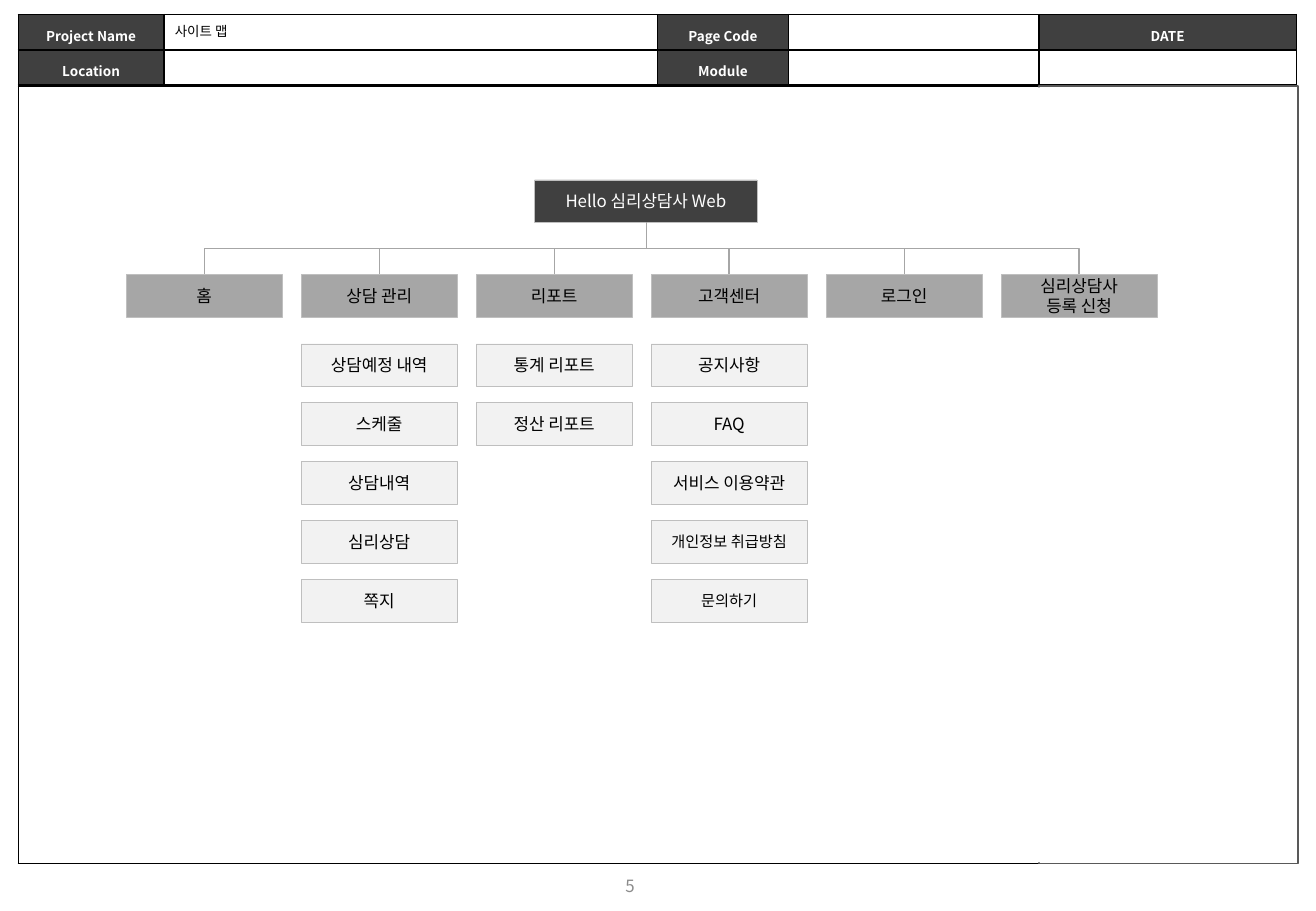
import pptx
import pptx.util
import pptx.dml.color
import pptx.enum.shapes
import pptx.enum.text
import pptx.oxml.ns
from lxml import etree

Inches = pptx.util.Inches
Pt = pptx.util.Pt
qn = pptx.oxml.ns.qn
RECTANGLE = pptx.enum.shapes.MSO_SHAPE.RECTANGLE
ELBOW = pptx.enum.shapes.MSO_CONNECTOR.ELBOW
CENTER = pptx.enum.text.PP_ALIGN.CENTER
MIDDLE = pptx.enum.text.MSO_ANCHOR.MIDDLE
FONT = "Noto Sans CJK KR"


def paint(color_format, hex_color):
    color_format.rgb = pptx.dml.color.RGBColor.from_string(hex_color)


def write(text_frame, text, size, hex_color, align=None, bold=False):
    text_frame.text = text
    for paragraph in text_frame.paragraphs:
        paragraph.alignment = align
        for run in paragraph.runs:
            run.font.name = FONT
            run.font.size = Pt(size)
            run.font.bold = bold
            paint(run.font.color, hex_color)
            etree.SubElement(run.font._element, qn("a:ea"), typeface=FONT)


presentation = pptx.Presentation()
presentation.slide_width = Inches(10.83)
presentation.slide_height = Inches(7.5)
slide = presentation.slides.add_slide(presentation.slide_layouts[6])
shapes = slide.shapes

# Page frame and header tables: top, column widths, row heights, cell texts
tables = [
    (0.71, [10.51], [6.4], [[""]]),
    (0.12, [1.2, 4.06, 1.08, 2.06, 2.12], [0.25, 0.25],
     [["Project Name", "", "Page Code", "", "DATE"],
      ["Location", "", "Module", "", ""]]),
]
for top, widths, heights, texts in tables:
    table = shapes.add_table(len(heights), len(widths), Inches(0.15), Inches(top),
                             Inches(sum(widths)), Inches(sum(heights))).table
    table.first_row = False
    table.horz_banding = False
    for column, width in zip(table.columns, widths):
        column.width = Inches(width)
    for row, height, row_texts in zip(table.rows, heights, texts):
        row.height = Inches(height)
        for cell, text in zip(row.cells, row_texts):
            cell.margin_left = cell.margin_right = Inches(0.04)
            cell.margin_top = cell.margin_bottom = Inches(0.04)
            cell_properties = cell._tc.get_or_add_tcPr()
            for side in ("a:lnL", "a:lnR", "a:lnT", "a:lnB"):
                border = etree.SubElement(cell_properties, qn(side), w=str(Pt(1)))
                border_fill = etree.SubElement(border, qn("a:solidFill"))
                etree.SubElement(border_fill, qn("a:srgbClr"), val="000000")
            cell.fill.solid()
            paint(cell.fill.fore_color, "404040" if text else "FFFFFF")
            if text:
                write(cell.text_frame, text, 8, "FFFFFF", CENTER, True)
                cell.text_frame.paragraphs[0].line_spacing = 1.3
            else:
                end_properties = cell.text_frame.paragraphs[0]._p.get_or_add_endParaRPr()
                end_properties.set("sz", "800")

# Boxes: left, top, width, height, fill, line, line width, text, size, text colour
boxes = [
    (8.55, 0.71, 2.13, 6.4, "FFFFFF", "595959", 1, "", 10, "000000"),
    (0.22, 0.72, 10.45, 6.38, "FFFFFF", None, 0, "", 10, "000000"),
    (4.4, 1.48, 1.83, 0.35, "404040", "BFBFBF", 0.25,
     "Hello 심리상담사 Web", 10, "FFFFFF"),
]

# Site map: one column per menu, its pages below
COLUMN_LEFT, COLUMN_STEP = 1.04, 1.44
PAGE_TOP, PAGE_STEP = 2.83, 0.485
MENU_TOP, BOX_WIDTH, BOX_HEIGHT = 2.26, 1.28, 0.35
menus = [
    ("홈", []),
    ("상담 관리", ["상담예정 내역", "스케줄", "상담내역", "심리상담", "쪽지"]),
    ("리포트", ["통계 리포트", "정산 리포트"]),
    ("고객센터", ["공지사항", "FAQ", "서비스 이용약관", "개인정보 취급방침", "문의하기"]),
    ("로그인", []),
    ("심리상담사\n등록 신청", []),
]
small_pages = ("개인정보 취급방침", "문의하기")
for index, (menu, pages) in enumerate(menus):
    left = COLUMN_LEFT + index * COLUMN_STEP
    boxes.append((left, MENU_TOP, BOX_WIDTH, BOX_HEIGHT, "A6A6A6", "BFBFBF", 0.25,
                  menu, 10, "000000"))
    for level, page in enumerate(pages):
        boxes.append((left, PAGE_TOP + level * PAGE_STEP, BOX_WIDTH, BOX_HEIGHT,
                      "F2F2F2", "BFBFBF", 0.25,
                      page, 9 if page in small_pages else 10, "000000"))

for left, top, width, height, fill, line, line_width, text, size, color in boxes:
    shape = shapes.add_shape(RECTANGLE, Inches(left), Inches(top),
                             Inches(width), Inches(height))
    shape.shadow.inherit = False
    shape.fill.solid()
    paint(shape.fill.fore_color, fill)
    if line:
        paint(shape.line.color, line)
        shape.line.width = Pt(line_width)
    else:
        shape.line.fill.background()
    if text:
        shape.text_frame.vertical_anchor = MIDDLE
        shape.text_frame.word_wrap = text not in menus[-1][0]
        write(shape.text_frame, text, size, color, CENTER)

# Elbow connectors from the root down to each menu, turned a quarter
ROOT_X, ROOT_BOTTOM = 5.32, 1.83
drop = MENU_TOP - ROOT_BOTTOM
for index in range(len(menus)):
    menu_x = COLUMN_LEFT + index * COLUMN_STEP + BOX_WIDTH / 2
    middle_x = (ROOT_X + menu_x) / 2
    middle_y = ROOT_BOTTOM + drop / 2
    half_span = abs(menu_x - ROOT_X) / 2
    goes_right = menu_x > ROOT_X
    half_drop = -drop / 2 if goes_right else drop / 2
    connector = shapes.add_connector(
        ELBOW, Inches(middle_x - half_drop), Inches(middle_y - half_span),
        Inches(middle_x + half_drop), Inches(middle_y + half_span))
    properties = connector._element.spPr
    properties.find(qn("a:xfrm")).set("rot", str((270 if goes_right else 90) * 60000))
    paint(connector.line.color, "A6A6A6")
    connector.line.width = Pt(0.75)
    etree.SubElement(properties, qn("a:effectLst"))

# Page title and page number
title = shapes.add_textbox(Inches(1.34), Inches(0.14), Inches(0.69), Inches(0.24))
title.text_frame.word_wrap = False
write(title.text_frame, "사이트 맵", 8, "000000")

page_number = shapes.add_textbox(Inches(3.92), Inches(7.09), Inches(2.53), Inches(0.4))
page_number.text_frame.word_wrap = True
page_number.text_frame.vertical_anchor = MIDDLE
write(page_number.text_frame, "5", 10, "8C8C8C", CENTER)

presentation.save("out.pptx")
